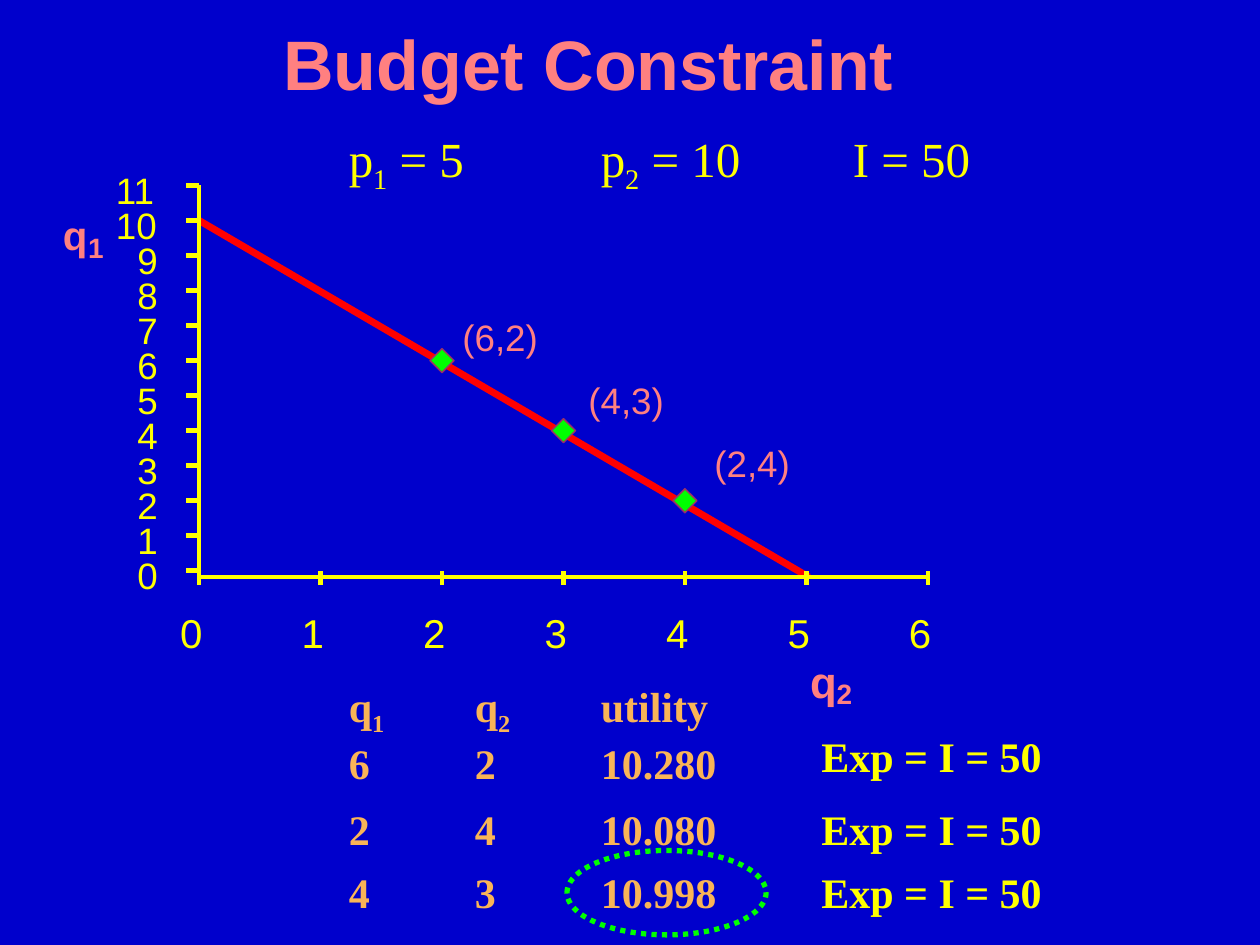
import pptx
import pptx.util
import pptx.dml.color
import pptx.enum.dml
import pptx.enum.shapes
import pptx.enum.text
import pptx.oxml
import pptx.oxml.ns

Inches, Pt = pptx.util.Inches, pptx.util.Pt
RGBColor = pptx.dml.color.RGBColor
SHAPE = pptx.enum.shapes.MSO_SHAPE

BLUE = RGBColor(0x00, 0x00, 0xCC)
YELLOW = RGBColor(0xFF, 0xFF, 0x00)
RED = RGBColor(0xFF, 0x00, 0x00)
GREEN = RGBColor(0x00, 0xFF, 0x00)
PINK = RGBColor(0xFF, 0x80, 0x80)
ORANGE = RGBColor(0xF9, 0xB4, 0x57)
PLUM = RGBColor(0x99, 0x33, 0x66)

TITLE = "Budget Constraint"
GIVENS = "p|1| = 5 \tp|2| = 10 \tI = 50"
EXPENSE = "Exp = I = 50"
BUNDLES = [(6, 2), (4, 3), (2, 4)]
UTILITY_ROWS = [
    (5.35, 0.96, ["q|1\t|q|2\t|utility", "6 \t2 \t10.280"]),
    (6.33, 0.5, ["2 \t4 \t10.080"]),
    (6.83, 0.5, ["4 \t3 \t10.998"]),
]
EXPENSE_TOPS = [5.75, 6.33, 6.83]
AXIS_NAMES = [
    ("q", 6.43, 5.2, 0.21, 0.42, 25), ("2", 6.64, 5.37, 0.12, 0.27, 16),
    ("q", 0.5, 1.67, 0.2, 0.38, 23), ("1", 0.7, 1.83, 0.12, 0.27, 16),
]

Q1_MAX, Q2_MAX = 11, 6
LEFT, BASE, AXIS_Y = 1.58, 4.53, 4.58
Q1_STEP, Q2_STEP = 0.278, 0.964
TICK, MARK = 0.1, 0.19
AXIS_WIDTH = 2.64

SANS = {"name": "Arial", "bold": False}
SANS_BOLD = {"name": "Arial", "bold": True}
SERIF = {"name": "Times New Roman", "bold": False}
SERIF_BOLD = {"name": "Times New Roman", "bold": True}


def x_of(q2):
    return LEFT + q2 * Q2_STEP


def y_of(q1):
    return BASE - q1 * Q1_STEP


def add_line(s, x1, y1, x2, y2, color, width):
    sp = s.shapes.add_connector(
        pptx.enum.shapes.MSO_CONNECTOR.STRAIGHT, *map(Inches, (x1, y1, x2, y2)))
    sp.line.color.rgb = color
    sp.line.width = Pt(width)
    sp._element.spPr.append(pptx.oxml.parse_xml(
        "<a:effectLst %s/>" % pptx.oxml.ns.nsdecls("a")))


def add_tabs(p):
    pPr = p._p.get_or_add_pPr()
    tabs = pptx.oxml.parse_xml("<a:tabLst %s/>" % pptx.oxml.ns.nsdecls("a"))
    for inch in range(8):
        tabs.append(pptx.oxml.parse_xml('<a:tab %s pos="%d" algn="l"/>' % (
            pptx.oxml.ns.nsdecls("a"), Inches(inch))))
    pPr.append(tabs)


def add_text(s, lines, x, y, w, h, size, color, style, inset=(0, 0), wrap=False):
    sp = s.shapes.add_textbox(*map(Inches, (x, y, w, h)))
    tf = sp.text_frame
    dx, dy = map(Inches, inset)
    frame = {"margin_left": dx, "margin_right": dx, "margin_top": dy,
             "margin_bottom": dy, "word_wrap": wrap,
             "auto_size": pptx.enum.text.MSO_AUTO_SIZE.SHAPE_TO_FIT_TEXT}
    for key, value in frame.items():
        setattr(tf, key, value)
    for i, line in enumerate(lines):
        p = tf.add_paragraph() if i else tf.paragraphs[0]
        add_tabs(p)
        for j, part in enumerate(line.split("|")):
            r = p.add_run()
            r.text = part
            for key, value in {**style, "size": Pt(size)}.items():
                setattr(r.font, key, value)
            r.font.color.rgb = color
            if j % 2:
                r._r.get_or_add_rPr().set("baseline", "-25000")


def add_outlined(s, kind, x, y, w, h, color, width):
    sp = s.shapes.add_shape(kind, *map(Inches, (x, y, w, h)))
    sp.shadow.inherit = False
    sp.fill.background()
    sp.line.color.rgb = color
    sp.line.width = Pt(width)
    return sp


def add_chart_lines(s):
    add_line(s, LEFT, y_of(10), 6.42, AXIS_Y, RED, 4)
    add_line(s, LEFT, y_of(Q1_MAX), LEFT, BASE, YELLOW, AXIS_WIDTH)
    for q1 in range(Q1_MAX + 1):
        add_line(s, LEFT - TICK, y_of(q1), LEFT, y_of(q1), YELLOW, AXIS_WIDTH)
    add_line(s, LEFT, AXIS_Y, x_of(Q2_MAX), AXIS_Y, YELLOW, AXIS_WIDTH)
    for q2 in range(Q2_MAX + 1):
        add_line(s, x_of(q2), BASE + 0.11, x_of(q2), BASE, YELLOW, AXIS_WIDTH)


def add_chart_labels(s):
    for i, (q1, q2) in enumerate(BUNDLES):
        sp = add_outlined(s, SHAPE.DIAMOND, x_of(q2) - MARK / 2,
                          y_of(q1) - MARK / 2, MARK, MARK, PLUM, 0.88)
        sp.fill.solid()
        sp.fill.fore_color.rgb = GREEN
        add_text(s, [f"({q1},{q2})"], 3.67 + i, 2.5 + i / 2, 0.6, 0.35,
                 21, PINK, SANS)
    for q1 in range(Q1_MAX + 1):
        w = 0.17 * len(str(q1))
        add_text(s, [str(q1)], 1.26 - w, y_of(q1) - 0.14, w, 0.35,
                 21, YELLOW, SANS)
    for q2 in range(Q2_MAX + 1):
        add_text(s, [str(q2)], x_of(q2) - 0.15, 4.83, 0.18, 0.38,
                 23, YELLOW, SANS)
    for name, x, y, w, h, size in AXIS_NAMES:
        add_text(s, [name], x, y, w, h, size, PINK, SANS_BOLD)


def add_utilities(s):
    inset = (0.1, 0.05)
    for top, height, lines in UTILITY_ROWS:
        add_text(s, lines, 2.67, top, 3.3, height, 24, ORANGE, SERIF_BOLD,
                 inset, wrap=True)
    for top in EXPENSE_TOPS:
        add_text(s, [EXPENSE], 6.42, top, 1.95, 0.5, 24, YELLOW, SERIF_BOLD, inset)
    add_text(s, [GIVENS], 2.67, 0.97, 5.13, 0.63, 28, YELLOW, SERIF, inset)
    sp = add_outlined(s, SHAPE.OVAL, 4.5, 6.75, 1.58, 0.67, GREEN, 3)
    sp.line.dash_style = pptx.enum.dml.MSO_LINE.ROUND_DOT


def main():
    prs = pptx.Presentation()
    prs.slide_width, prs.slide_height = Inches(10), Inches(7.5)
    s = prs.slides.add_slide(prs.slide_layouts[6])
    s.background.fill.solid()
    s.background.fill.fore_color.rgb = BLUE
    add_chart_lines(s)
    add_text(s, [TITLE], 2.25, 0.16, 4.84, 0.67, 40, PINK, SANS_BOLD)
    add_chart_labels(s)
    add_utilities(s)
    prs.save("out.pptx")


if __name__ == "__main__":
    main()
